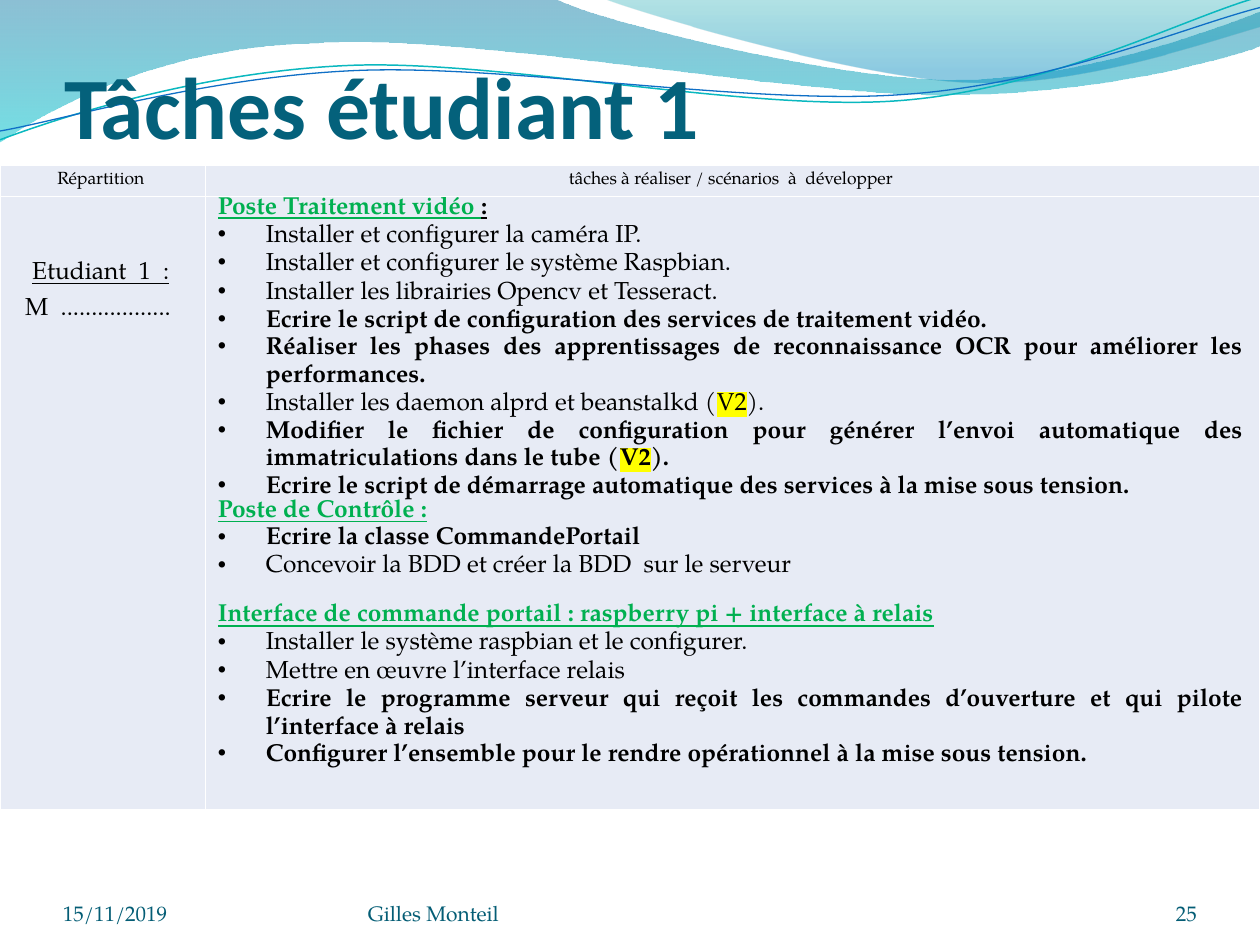
from dataclasses import dataclass

from lxml.etree import SubElement
from pptx import Presentation
from pptx.dml.color import RGBColor
from pptx.enum.text import MSO_ANCHOR as Anchor, MSO_AUTO_SIZE as AutoSize, PP_ALIGN as Align
from pptx.oxml import parse_xml
from pptx.oxml.ns import nsdecls, qn
from pptx.util import Inches, Pt


@dataclass(frozen=True)
class Theme:
    title_font: str = "Calibri"
    body_font: str = "TeX Gyre Pagella"
    title: str = "04617B"
    footer: str = "045D75"
    text: str = "000000"
    heading: str = "00B050"
    cell: str = "E7EBF5"
    border: str = "FFFFFF"
    mark: str = "FFFF00"
    title_size: int = 50
    body_size: int = 14
    footer_size: int = 12
    header_size: int = 10


THEME = Theme()
RUN_STYLES = {
    "plain": {},
    "bold": {"bold": True},
    "underlined": {"underline": True},
    "heading": {"bold": True, "underline": True, "color": THEME.heading},
    "heading end": {"bold": True, "underline": True},
}
BULLET = {"alignment": Align.JUSTIFY, "line_spacing": 1.15}

BANDS = [
    ([(0, 0), [(4.4, -0.01)],
      [(4.76, 0.17), (6.64, 0.63), (7.58, 0.63)],
      [(8.53, 0.63), (9.58, 0.26), (10, 0.09)], [(10.01, 0.36)],
      [(9.83, 0.44), (8.7, 0.76), (7.46, 0.75)],
      [(6.22, 0.75), (3.82, 0.28), (2.57, 0.34)],
      [(1.29, 0.36), (0.46, 0.83), (-0.01, 1.13)], [(0, 0)]],
     [(0, "0074A1", 45), (1, "00C6CF", 55)]),
    ([(4.79, -0.01),
      [(5.09, 0.11), (6.82, 0.62), (7.69, 0.65)],
      [(8.56, 0.69), (9.61, 0.32), (10, 0.21)], [(10, 0)], [(4.79, -0.01)]],
     [(0, "00A1A9", 30), (0.8, "008BBF", 45)]),
]
WAVES = [
    ([(0, 1.11),
      [(0.48, 0.93), (1.58, 0.57), (2.77, 0.52)],
      [(3.95, 0.47), (5.93, 0.89), (7.13, 0.8)],
      [(8.33, 0.71), (9.38, 0.15), (9.98, -0.02)]], "0AB8BF", 0.85),
    ([(0, 1.04),
      [(0.47, 0.96), (1.64, 0.61), (2.83, 0.56)],
      [(4.03, 0.51), (5.97, 0.84), (7.17, 0.75)],
      [(8.36, 0.67), (9.41, 0.21), (10, 0.06)]], "0F6FC6", 0.75),
]
TASKS = [
    ("heading", "Poste Traitement vidéo "),
    ("plain", "Installer et configurer la caméra IP."),
    ("plain", "Installer et configurer le système Raspbian."),
    ("plain", "Installer les librairies Opencv et Tesseract."),
    ("bold", "Ecrire le script de configuration des services de traitement vidéo."),
    ("bold", "Réaliser les phases des apprentissages de reconnaissance OCR pour améliorer les performances."),
    ("plain", "Installer les daemon alprd et beanstalkd (V2)."),
    ("bold", "Modifier le fichier de configuration pour générer l’envoi automatique des immatriculations dans le tube (V2)."),
    ("bold", "Ecrire le script de démarrage automatique des services à la mise sous tension."),
    ("heading", "Poste de Contrôle :"),
    ("bold", "Ecrire la classe CommandePortail"),
    ("plain", "Concevoir la BDD et créer la BDD  sur le serveur"),
    ("heading", "Interface de commande portail : raspberry pi + interface à relais"),
    ("plain", "Installer le système raspbian et le configurer."),
    ("plain", "Mettre en œuvre l’interface relais"),
    ("bold", "Ecrire le programme serveur qui reçoit les commandes d’ouverture et qui pilote l’interface à relais"),
    ("bold", "Configurer l’ensemble pour le rendre opérationnel à la mise sous tension."),
]
FOOTERS = [
    (8.67, 0.83, "25", Align.RIGHT),
    (0.5, 2.33, "15/11/2019", Align.LEFT),
    (2.92, 3.67, "Gilles Monteil", Align.LEFT),
]


def assign(target, values):
    for name, value in values.items():
        setattr(target, name, value)


class SlideWriter:
    def __init__(self, presentation, theme):
        self.theme = theme
        self.slide = presentation.slides.add_slide(presentation.slide_layouts[5])

    def outline(self, nodes, closed):
        start, *segments = nodes
        builder = self.slide.shapes.build_freeform(Inches(start[0]), Inches(start[1]))
        points = [(Inches(x), Inches(y)) for segment in segments for x, y in segment]
        builder.add_line_segments(points, close=closed)
        shape = builder.convert_to_shape()
        shape.shadow.inherit = False
        lines = iter(list(shape._element.iter(qn("a:lnTo"))))
        for segment in segments:
            group = [next(lines) for _ in segment]
            if len(group) == 3:
                curve = parse_xml(f'<a:cubicBezTo {nsdecls("a")}/>')
                group[0].addprevious(curve)
                for line in group:
                    curve.append(line[0])
                    line.getparent().remove(line)
        return shape

    def band(self, nodes, stops):
        shape = self.outline(nodes, True)
        shape.line.fill.background()
        shape.fill.gradient()
        shape.fill.gradient_angle = 270
        for stop, (position, color, _) in zip(shape.fill.gradient_stops, stops):
            stop.position = position
            stop.color.rgb = RGBColor.from_string(color)
        for color, (_, _, opacity) in zip(shape._element.spPr.iter(qn("a:srgbClr")), stops):
            SubElement(color, qn("a:alpha"), val=str(opacity * 1000))

    def wave(self, nodes, color, width):
        shape = self.outline(nodes, False)
        shape.fill.background()
        shape.line.color.rgb = RGBColor.from_string(color)
        shape.line.width = Pt(width)

    def run(self, paragraph, text, size, color=None, font=None, mark=False, **values):
        run = paragraph.add_run()
        run.text = text
        assign(run.font, {"name": font or self.theme.body_font, "size": Pt(size), "bold": False, **values})
        run.font.color.rgb = RGBColor.from_string(color or self.theme.text)
        if mark:
            run._r.rPr.find(qn("a:solidFill")).addnext(parse_xml(
                f'<a:highlight {nsdecls("a")}><a:srgbClr val="{self.theme.mark}"/></a:highlight>'))

    def frame(self, frame, **values):
        assign(frame, {"word_wrap": True, "auto_size": AutoSize.NONE, "margin_left": 0,
                       "margin_right": 0, "margin_top": 0, "margin_bottom": 0, **values})
        return frame.paragraphs[0]

    def title(self, text):
        shape = self.slide.shapes.title
        self.slide.shapes._spTree.append(shape._element)
        assign(shape, {"left": Inches(0.51), "top": Inches(0.36), "width": Inches(9), "height": Inches(1.25)})
        paragraph = self.frame(shape.text_frame, margin_top=Inches(0.05), vertical_anchor=Anchor.TOP)
        paragraph.alignment = Align.LEFT
        self.run(paragraph, text, self.theme.title_size, self.theme.title, self.theme.title_font, bold=True)

    def footer(self, left, width, text, alignment):
        shape = self.slide.shapes.add_textbox(Inches(left), Inches(6.95), Inches(width), Inches(0.4))
        paragraph = self.frame(shape.text_frame, vertical_anchor=Anchor.BOTTOM)
        paragraph.alignment = alignment
        self.run(paragraph, text, self.theme.footer_size, self.theme.footer)

    def table(self, widths, heights):
        table = self.slide.shapes.add_table(len(heights), len(widths), 0, Inches(1.31),
                                            Inches(sum(widths)), Inches(sum(heights))).table
        for column, width in zip(table.columns, widths):
            column.width = Inches(width)
        for row, height in zip(table.rows, heights):
            row.height = Inches(height)
        for cell in table.iter_cells():
            self.cell(cell)
        return table

    def cell(self, cell):
        assign(cell, {"margin_left": Inches(0.05), "margin_right": Inches(0.08),
                      "margin_top": 0, "margin_bottom": 0})
        cell.fill.solid()
        cell.fill.fore_color.rgb = RGBColor.from_string(self.theme.cell)
        for index, side in enumerate("LRTB"):
            cell._tc.tcPr.insert(index, parse_xml(
                f'<a:ln{side} {nsdecls("a")} w="12700"><a:solidFill>'
                f'<a:srgbClr val="{self.theme.border}"/></a:solidFill></a:ln{side}>'))

    def header(self, cell, text):
        cell.vertical_anchor = Anchor.MIDDLE
        paragraph = cell.text_frame.paragraphs[0]
        paragraph.alignment = Align.CENTER
        self.run(paragraph, text, self.theme.header_size)

    def student(self, cell, name, blank):
        cell.margin_top = Inches(0.52)
        first = cell.text_frame.paragraphs[0]
        first.alignment = Align.CENTER
        self.run(first, name, self.theme.body_size, **RUN_STYLES["underlined"])
        second = cell.text_frame.add_paragraph()
        assign(second, {"alignment": Align.JUSTIFY, "space_before": Pt(6)})
        second._p.get_or_add_pPr().set("marL", str(Inches(0.15)))
        self.run(second, blank, self.theme.body_size)

    def tasks(self, cell, tasks):
        assign(cell, {"margin_left": Inches(0.1), "margin_right": Inches(0.13)})
        for index, (style, text) in enumerate(tasks):
            paragraph = cell.text_frame.add_paragraph() if index else cell.text_frame.paragraphs[0]
            if style != "heading":
                self.bullet(paragraph)
            before, mark, after = text.partition("V2")
            for part, marked in ((before, False), (mark, True), (after, False)):
                if part:
                    self.run(paragraph, part, self.theme.body_size, mark=marked, **RUN_STYLES[style])
        first, *_, last = [p for p, (style, _) in zip(cell.text_frame.paragraphs, tasks) if style == "heading"]
        self.run(first, ":", self.theme.body_size, **RUN_STYLES["heading end"])
        last.space_before = Pt(self.theme.body_size)

    def bullet(self, paragraph):
        assign(paragraph, BULLET)
        properties = paragraph._p.get_or_add_pPr()
        properties.set("marL", str(Inches(0.38)))
        properties.set("indent", str(-Inches(0.38)))
        SubElement(properties, qn("a:buChar"), char="•")


def main():
    presentation = Presentation()
    assign(presentation, {"slide_width": Inches(10), "slide_height": Inches(7.5)})
    writer = SlideWriter(presentation, THEME)
    for band in BANDS:
        writer.band(*band)
    for wave in WAVES:
        writer.wave(*wave)
    writer.title("Tâches étudiant 1")
    table = writer.table([1.63, 8.37], [0.25, 4.87])
    writer.header(table.cell(0, 0), "Répartition")
    writer.header(table.cell(0, 1), "tâches à réaliser / scénarios  à  développer")
    writer.student(table.cell(1, 0), "Etudiant  1  :", "M  ..................")
    writer.tasks(table.cell(1, 1), TASKS)
    for footer in FOOTERS:
        writer.footer(*footer)
    presentation.save("out.pptx")


if __name__ == "__main__":
    main()
